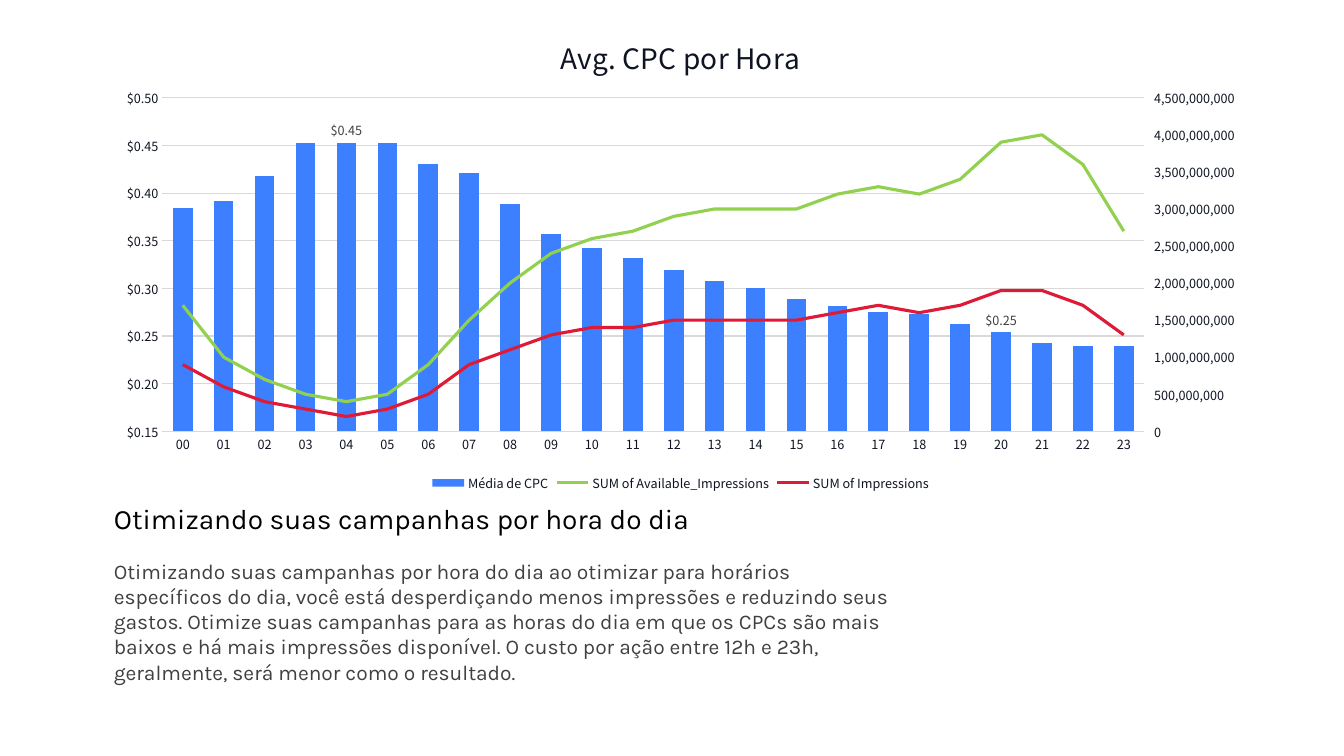
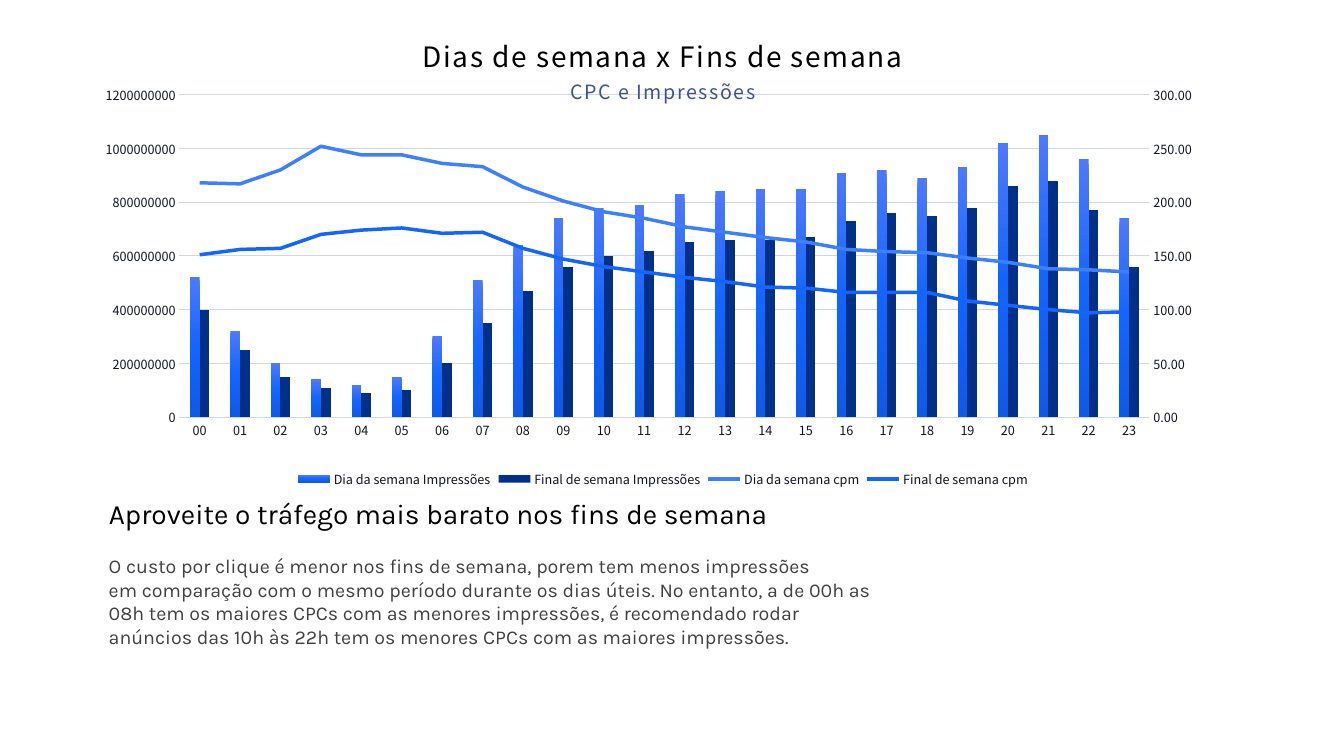
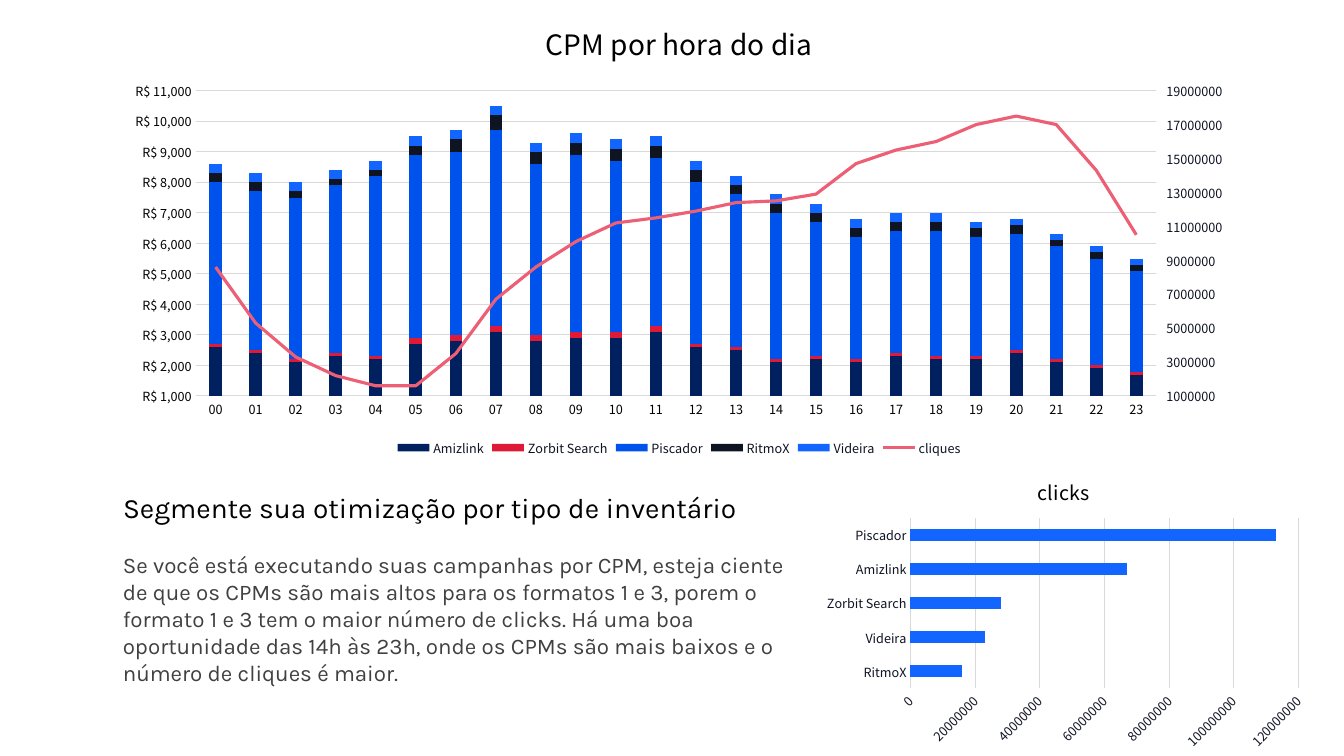
"""Build three slides on ad cost and traffic by hour of the day."""
from copy import deepcopy

from pptx import Presentation
from pptx.chart.axis import ValueAxis
from pptx.chart.data import CategoryChartData
from pptx.dml.color import RGBColor
from pptx.enum.chart import (XL_CHART_TYPE, XL_LABEL_POSITION, XL_LEGEND_POSITION,
                             XL_MARKER_STYLE, XL_TICK_MARK)
from pptx.enum.text import MSO_ANCHOR, MSO_AUTO_SIZE, PP_ALIGN
from pptx.oxml import parse_xml
from pptx.oxml.ns import nsdecls, qn
from pptx.util import Inches, Pt

CLUSTERED = XL_CHART_TYPE.COLUMN_CLUSTERED
STACKED = XL_CHART_TYPE.COLUMN_STACKED
BARS = XL_CHART_TYPE.BAR_CLUSTERED
NO_TICK, TICK_OUT = XL_TICK_MARK.NONE, XL_TICK_MARK.OUTSIDE
OUTSIDE_END = XL_LABEL_POSITION.OUTSIDE_END
LEGEND_BOTTOM = XL_LEGEND_POSITION.BOTTOM
NO_MARKER = XL_MARKER_STYLE.NONE

BLACK = RGBColor(0x00, 0x00, 0x00)
INK = RGBColor(0x0F, 0x14, 0x23)
GREY = RGBColor(0x40, 0x40, 0x40)
GRID = RGBColor(0xD9, 0xD9, 0xD9)
BLUE_GRID = RGBColor(0xCF, 0xD6, 0xEA)
SUBTITLE = RGBColor(0x3F, 0x51, 0x96)
SKY = RGBColor(0x3D, 0x80, 0xFF)
BLUE = RGBColor(0x13, 0x65, 0xFF)
ROYAL = RGBColor(0x00, 0x52, 0xED)
NAVY = RGBColor(0x00, 0x30, 0x89)
DEEP_NAVY = RGBColor(0x00, 0x20, 0x60)
GREEN = RGBColor(0x92, 0xD0, 0x50)
RED = RGBColor(0xDE, 0x1A, 0x37)
ROSE = RGBColor(0xEC, 0x5F, 0x74)
BLUE_FADE = [(0, RGBColor(0x4D, 0x79, 0xFF)), (50, BLUE), (100, RGBColor(0x0F, 0x59, 0xE5))]

TEXT_FONT, CHART_FONT = "Karla", "Noto Sans CJK SC"
HEADING_SIZE = 20
LINE_RATIO = 1.2
DOLLARS = '"$"#,##0.00'
HOURS = [f"{hour:02d}" for hour in range(24)]
MILLION = 10 ** 6


def scaled(factor, *values):
    """Return the values multiplied by a factor."""
    return [value * factor for value in values]


CPC_CHART = dict(
    kind=CLUSTERED, box=(1.03, 0.13, 11.44, 4.79), plot=(1.61, 0.97, 11.35, 4.28),
    title=[("Avg. CPC por Hora", 20, INK, 0)],
    cats=HOURS, gap=108, overlap=0, grid=GRID, ink=INK, line_width=2.25, labelled=(4, 20),
    left=(0.15, 0.5, 0.05, DOLLARS, NO_TICK),
    right=(0, 4500 * MILLION, 500 * MILLION, "#,##0", TICK_OUT),
    columns=[("Média de CPC", SKY, [
        0.384, 0.392, 0.418, 0.453, 0.453, 0.453, 0.431, 0.421, 0.388, 0.357, 0.342, 0.332,
        0.319, 0.308, 0.300, 0.289, 0.281, 0.275, 0.273, 0.263, 0.254, 0.243, 0.240, 0.240])],
    lines=[
        ("SUM of Available_Impressions", GREEN, scaled(
            100 * MILLION, 17, 10, 7, 5, 4, 5, 9, 15, 20, 24, 26, 27,
            29, 30, 30, 30, 32, 33, 32, 34, 39, 40, 36, 27)),
        ("SUM of Impressions", RED, scaled(
            100 * MILLION, 9, 6, 4, 3, 2, 3, 5, 9, 11, 13, 14, 14,
            15, 15, 15, 15, 16, 17, 16, 17, 19, 19, 17, 13))])

WEEK_CHART = dict(
    kind=CLUSTERED, box=(0.98, 0.15, 11.19, 4.73), plot=(1.78, 0.94, 11.4, 4.14),
    title=[("Dias de semana x Fins de semana", 20, BLACK, 100),
           ("CPC e Impressões", 14, SUBTITLE, 100)],
    cats=HOURS, gap=219, overlap=0, grid=BLUE_GRID, ink=INK, line_width=2.5, labelled=(),
    left=(0, 1200 * MILLION, 200 * MILLION, "General", NO_TICK),
    right=(0, 300, 50, "0.00", NO_TICK),
    columns=[
        ("Dia da semana Impressões", BLUE_FADE, scaled(
            10 * MILLION, 52, 32, 20, 14, 12, 15, 30, 51, 64, 74, 78, 79,
            83, 84, 85, 85, 91, 92, 89, 93, 102, 105, 96, 74)),
        ("Final de semana Impressões", NAVY, scaled(
            10 * MILLION, 40, 25, 15, 11, 9, 10, 20, 35, 47, 56, 60, 62,
            65, 66, 66, 67, 73, 76, 75, 78, 86, 88, 77, 56))],
    lines=[
        ("Dia da semana cpm", SKY, [
            218, 217, 230, 252, 244, 244, 236, 233, 214, 201, 191, 185,
            177, 172, 167, 163, 156, 154, 153, 148, 144, 138, 137, 135]),
        ("Final de semana cpm", BLUE, [
            151, 156, 157, 170, 174, 176, 171, 172, 157, 147, 140, 135,
            130, 126, 121, 120, 116, 116, 116, 108, 104, 100, 97, 98])])

CPM_CHART = dict(
    kind=STACKED, box=(1.12, 0, 11.23, 4.57), plot=(1.94, 0.9, 11.47, 3.93),
    title=[("CPM por hora do dia", 20, BLACK, 0)],
    cats=HOURS, gap=219, overlap=100, grid=GRID, ink=BLACK, line_width=2.25, labelled=(),
    left=(1000, 11000, 1000, '"R$"\\ #,##0', NO_TICK),
    right=(MILLION, 19 * MILLION, 2 * MILLION, "General", TICK_OUT),
    columns=[
        ("Amizlink", DEEP_NAVY, scaled(
            100, 26, 24, 21, 23, 22, 27, 28, 31, 28, 29, 29, 31,
            26, 25, 21, 22, 21, 23, 22, 22, 24, 21, 19, 17)),
        ("Zorbit Search", RED, scaled(
            100, 1, 1, 1, 1, 1, 2, 2, 2, 2, 2, 2, 2, 1, 1, 1, 1, 1, 1, 1, 1, 1, 1, 1, 1)),
        ("Piscador", ROYAL, scaled(
            100, 53, 52, 53, 55, 59, 60, 60, 64, 56, 58, 56, 55,
            53, 50, 48, 44, 40, 40, 41, 39, 38, 37, 35, 33)),
        ("RitmoX", INK, scaled(
            100, 3, 3, 2, 2, 2, 3, 4, 5, 4, 4, 4, 4, 4, 3, 3, 3, 3, 3, 3, 3, 3, 2, 2, 2)),
        ("Videira", BLUE, scaled(
            100, 3, 3, 3, 3, 3, 3, 3, 3, 3, 3, 3, 3, 3, 3, 3, 3, 3, 3, 3, 2, 2, 2, 2, 2))],
    lines=[("cliques", ROSE, scaled(
        MILLION // 10, 86, 53, 33, 22, 16, 16, 35, 67, 86, 101, 112, 115,
        119, 124, 125, 129, 147, 155, 160, 170, 175, 170, 143, 105))])

CLICKS_CHART = dict(
    kind=BARS, box=(8.05, 4.57, 5, 2.93), plot=(9.03, 5.14, 12.88, 6.83),
    title=[("clicks", 14, BLACK, 0)],
    cats=["RitmoX", "Videira", "Zorbit Search", "Amizlink", "Piscador"],
    gap=182, overlap=0, grid=GRID, ink=INK, labelled=(), lines=[],
    left=(0, 120 * MILLION, 20 * MILLION, "General", NO_TICK),
    columns=[("clicks", BLUE, scaled(MILLION, 16, 23, 28, 67, 113))])

SLIDES = [
    dict(box=(1.03, 4.92, 7.99, 1.94), gap=14, size=15, charts=[CPC_CHART],
         heading="Otimizando suas campanhas por hora do dia",
         body="Otimizando suas campanhas por hora do dia ao otimizar para horários específicos "
              "do dia, você está desperdiçando menos impressões e reduzindo seus gastos. Otimize "
              "suas campanhas para as horas do dia em que os CPCs são mais baixos e há mais "
              "impressões disponível. O custo por ação entre 12h e 23h, geralmente, será menor "
              "como o resultado."),
    dict(box=(0.98, 4.88, 7.81, 1.85), gap=14, size=14, charts=[WEEK_CHART],
         heading="Aproveite o tráfego mais barato nos fins de semana",
         body="O custo por clique é menor nos fins de semana, porem tem menos impressões "
              "em\u00a0comparação com o mesmo período durante os dias úteis. No entanto, a de 00h "
              "as 08h tem os maiores CPCs com as menores impressões, é recomendado rodar anúncios "
              "das 10h às 22h\u00a0tem os menores CPCs com as maiores impressões."),
    dict(box=(1.12, 4.82, 6.93, 2.05), gap=16, size=16, charts=[CPM_CHART, CLICKS_CHART],
         heading="Segmente sua otimização por tipo de inventário",
         body="Se você está executando suas campanhas por CPM, esteja ciente de que os CPMs são "
              "mais altos para os formatos 1 e\u00a03, porem o formato 1 e 3 tem o maior número "
              "de clicks. Há uma boa oportunidade das 14h às 23h, onde os CPMs são mais baixos e "
              "o número de cliques é maior."),
]


def set_font(font, name, size, color):
    """Apply one font style."""
    for key, value in dict(name=name, size=Pt(size), bold=False).items():
        setattr(font, key, value)
    font.color.rgb = color


def write(shape, text, size, color):
    """Put one left-aligned paragraph at the top of a shape."""
    frame = shape.text_frame
    frame.text = text
    for key, value in dict(word_wrap=True, auto_size=MSO_AUTO_SIZE.NONE,
                           vertical_anchor=MSO_ANCHOR.TOP).items():
        setattr(frame, key, value)
    paragraph = frame.paragraphs[0]
    paragraph.alignment = PP_ALIGN.LEFT
    set_font(paragraph.runs[0].font, TEXT_FONT, size, color)


def add_texts(slide, page):
    """Place the heading and the body below it."""
    left, top, width, height = page["box"]
    drop = round((HEADING_SIZE + page["gap"]) * LINE_RATIO / 72, 2)
    heading = slide.shapes.title
    for key, value in dict(left=left, top=top, width=width, height=drop).items():
        setattr(heading, key, Inches(value))
    write(heading, page["heading"], HEADING_SIZE, BLACK)
    body = slide.shapes.add_textbox(
        *map(Inches, (left, top + drop, width, height - drop)))
    write(body, page["body"], page["size"], GREY)


def scale_axis(axis, limits):
    """Set range, step, number format and ticks of a value axis."""
    low, high, step, number_format, tick = limits
    for key, value in dict(minimum_scale=low, maximum_scale=high, major_unit=step,
                           major_tick_mark=tick, minor_tick_mark=NO_TICK).items():
        setattr(axis, key, value)
    axis.tick_labels.number_format = number_format
    axis.tick_labels.number_format_is_linked = False


def style_axes(chart, spec):
    """Format the category axis and the main value axis."""
    hours, amounts = chart.category_axis, chart.value_axis
    for axis in (hours, amounts):
        set_font(axis.tick_labels.font, CHART_FONT, 9, spec["ink"])
    hours.major_tick_mark = hours.minor_tick_mark = NO_TICK
    amounts.has_major_gridlines = True
    for line in (hours.format.line, amounts.major_gridlines.format.line):
        line.color.rgb = spec["grid"]
        line.width = Pt(0.75)
    amounts.format.line.fill.background()
    scale_axis(amounts, spec["left"])


def fill_series(series, color):
    """Fill columns with one colour or a top-to-bottom fade."""
    if isinstance(color, RGBColor):
        series.format.fill.solid()
        series.format.fill.fore_color.rgb = color
        return
    stops = "".join(f'<a:gs pos="{pos * 1000}"><a:srgbClr val="{rgb}"/></a:gs>'
                    for pos, rgb in color)
    series._element.get_or_add_spPr().append(parse_xml(
        f'<a:gradFill {nsdecls("a")}><a:gsLst>{stops}</a:gsLst>'
        '<a:lin ang="5400000" scaled="0"/></a:gradFill>'))


def move_to_lines(chart, spec):
    """Turn the last series into lines on a right-hand axis."""
    columns = chart.plots[0]._element
    line_plot = parse_xml(
        f'<c:lineChart {nsdecls("c")}><c:grouping val="standard"/><c:varyColors val="0"/>'
        '<c:marker val="1"/><c:axId val="1001"/><c:axId val="1002"/></c:lineChart>')
    marker = line_plot.find(qn("c:marker"))
    for series in columns.findall(qn("c:ser"))[len(spec["columns"]):]:
        for flag in series.findall(qn("c:invertIfNegative")):
            series.remove(flag)
        marker.addprevious(series)
    columns.addnext(line_plot)

    hours, amounts = chart.category_axis._element, chart.value_axis._element
    hidden, right = deepcopy(hours), deepcopy(amounts)
    amounts.addnext(right)
    right.addnext(hidden)
    for axis, settings in (
            (hidden, {"c:axId": "1001", "c:crossAx": "1002", "c:delete": "1"}),
            (right, {"c:axId": "1002", "c:crossAx": "1001", "c:axPos": "r",
                     "c:crosses": "max"})):
        for tag, value in settings.items():
            axis.find(qn(tag)).set("val", value)
    right_axis = ValueAxis(right)
    right_axis.has_major_gridlines = False
    set_font(right_axis.tick_labels.font, CHART_FONT, 9, INK)
    scale_axis(right_axis, spec["right"])

    for series, (_, color, _) in zip(chart.plots[1].series, spec["lines"]):
        series.smooth = False
        series.marker.style = NO_MARKER
        series.format.line.color.rgb = color
        series.format.line.width = Pt(spec["line_width"])


def place_plot(chart, spec):
    """Fix the inner plot area inside the chart frame."""
    left, top, width, height = spec["box"]
    x1, y1, x2, y2 = spec["plot"]
    shares = dict(x=(x1 - left) / width, y=(y1 - top) / height,
                  w=(x2 - x1) / width, h=(y2 - y1) / height)
    modes = "".join(f'<c:{side}Mode val="edge"/>' for side in "xy")
    sizes = "".join(f'<c:{side} val="{share:.4f}"/>' for side, share in shares.items())
    area = chart.plots[0]._element.getparent()
    for layout in area.findall(qn("c:layout")):
        area.remove(layout)
    area.insert(0, parse_xml(
        f'<c:layout {nsdecls("c")}><c:manualLayout><c:layoutTarget val="inner"/>'
        f'{modes}{sizes}</c:manualLayout></c:layout>'))


def add_title(chart, lines):
    """Write the chart title, one paragraph per line."""
    frame = chart.chart_title.text_frame
    for index, (text, size, color, spacing) in enumerate(lines):
        paragraph = frame.add_paragraph() if index else frame.paragraphs[0]
        run = paragraph.add_run()
        run.text = text
        set_font(run.font, CHART_FONT, size, color)
        if spacing:
            run._r.get_or_add_rPr().set("spc", str(spacing))


def add_chart(slide, spec):
    """Add a column, bar or combined chart."""
    data = CategoryChartData()
    data.categories = spec["cats"]
    for group, limits in (("columns", "left"), ("lines", "right")):
        for name, _, values in spec[group]:
            data.add_series(name, values, spec[limits][3])
    chart = slide.shapes.add_chart(
        spec["kind"], *map(Inches, spec["box"]), data).chart
    set_font(chart.font, CHART_FONT, 10, BLACK)
    add_title(chart, spec["title"])
    style_axes(chart, spec)
    plot = chart.plots[0]
    for key, value in dict(gap_width=spec["gap"], overlap=spec["overlap"],
                           vary_by_categories=False).items():
        setattr(plot, key, value)
    for series, (_, color, _) in zip(plot.series, spec["columns"]):
        fill_series(series, color)
    for index in spec["labelled"]:
        label = plot.series[0].points[index].data_label
        set_font(label.font, CHART_FONT, 9, GREY)
        label.position = OUTSIDE_END
    if spec["labelled"]:
        plot.series[0].data_labels.show_value = False

    chart.has_legend = bool(spec["lines"])
    if spec["lines"]:
        move_to_lines(chart, spec)
        chart.legend.position = LEGEND_BOTTOM
        chart.legend.include_in_layout = False
        set_font(chart.legend.font, CHART_FONT, 9, INK)
    else:
        labels = chart.value_axis._element.find(qn("c:txPr"))
        labels.find(qn("a:bodyPr")).set("rot", "-2700000")
    place_plot(chart, spec)


deck = Presentation()
deck.slide_width, deck.slide_height = Inches(13.33), Inches(7.5)
for page in SLIDES:
    slide = deck.slides.add_slide(deck.slide_layouts[5])
    add_texts(slide, page)
    for spec in page["charts"]:
        add_chart(slide, spec)
deck.save("out.pptx")
